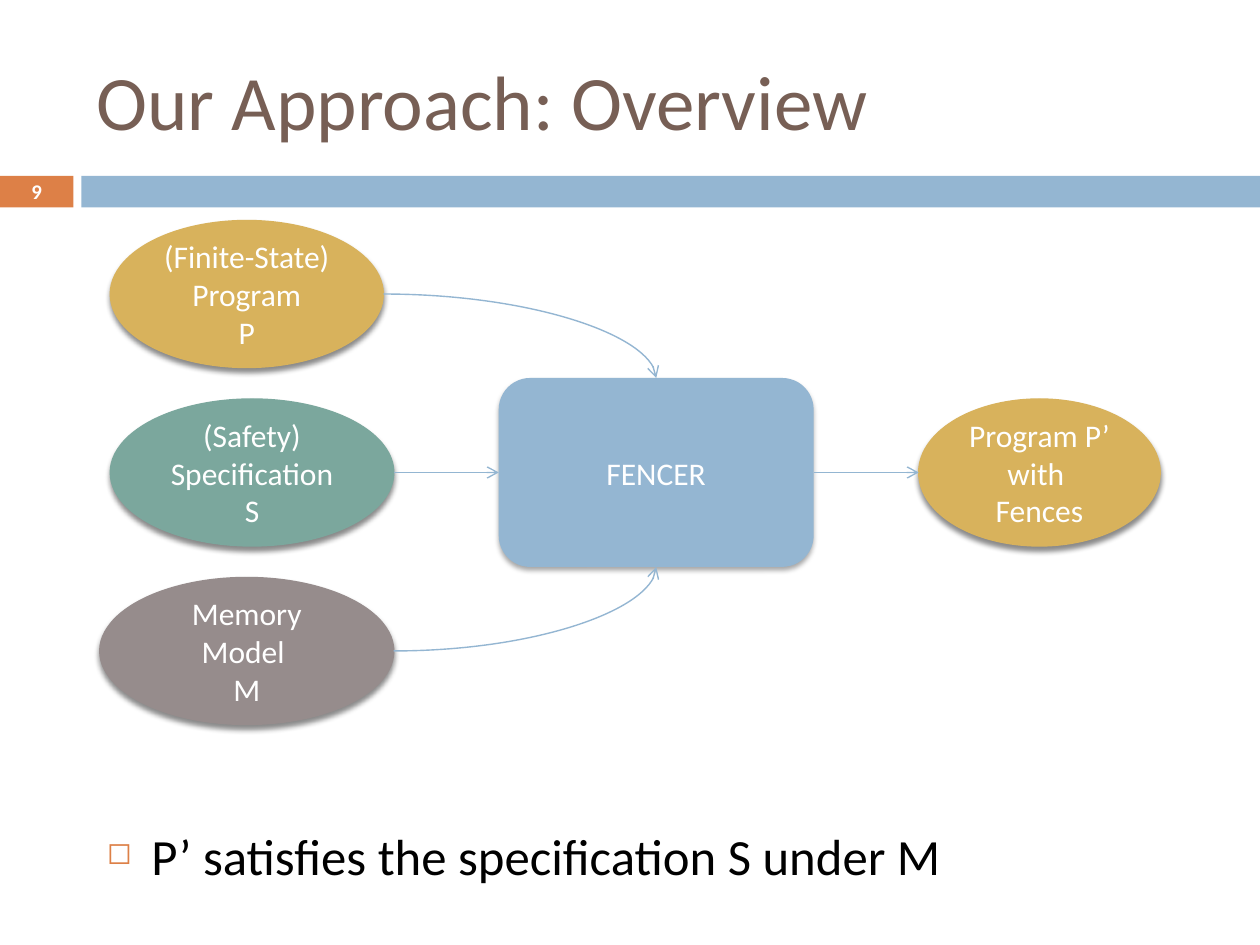
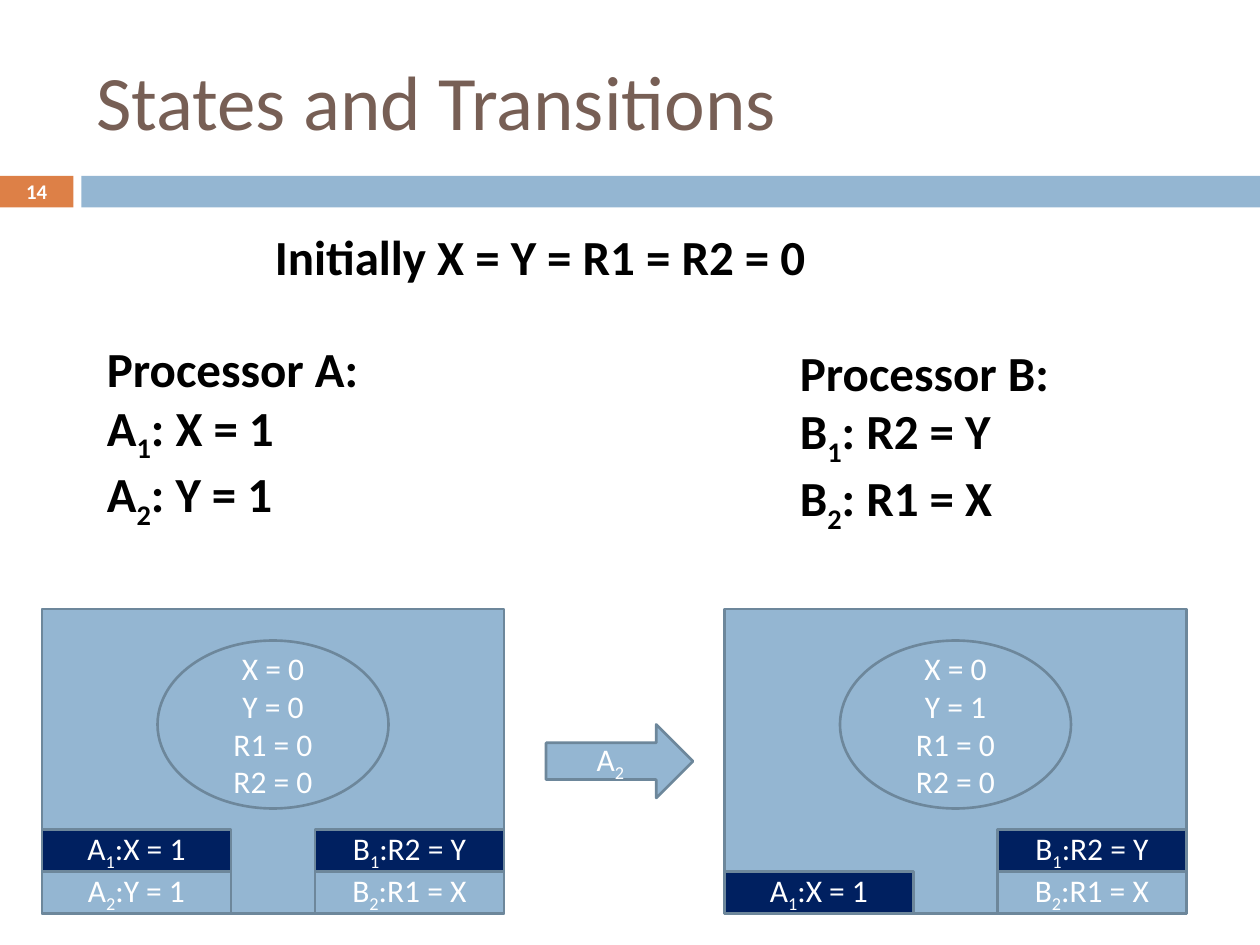
import pptx
import pptx.util
import pptx.dml.color
import pptx.enum.shapes
import pptx.enum.text
import pptx.oxml
import pptx.oxml.ns
from lxml import etree

PX = 9525  # EMU in one px, at 96 px to the inch
SLIDE_W, SLIDE_H = 960, 720
COLORS = {
    "orange": "DD8047", "blue": "94B6D2", "brown": "775F55", "gold": "D8B25C",
    "green": "7BA79D", "gray": "968C8C", "navy": "002060", "outline": "6D879B",
    "white": "FFFFFF", "black": "000000",
}
FORMATS = {
    "title": {"size": pptx.util.Pt(44)},
    "number": {"size": pptx.util.Pt(11.9), "bold": True},
    "bullet": {"size": pptx.util.Pt(29)},
    "code": {"size": pptx.util.Pt(28), "bold": True},
    "label": {"size": pptx.util.Pt(18)},
}
SHAPE = pptx.enum.shapes.MSO_SHAPE
ANCHOR = pptx.enum.text.MSO_ANCHOR
ALIGN = pptx.enum.text.PP_ALIGN


def rgb(color):
    return pptx.dml.color.RGBColor.from_string(COLORS[color])


def emu(*lengths):
    return [length * PX for length in lengths]


def add_run(paragraph, text, style, color, subscript=False):
    run = paragraph.add_run()
    run.text = text
    run.font.name = "Calibri"
    run.font.color.rgb = rgb(color)
    for attribute, value in FORMATS[style].items():
        setattr(run.font, attribute, value)
    if subscript:
        run._r.get_or_add_rPr().set("baseline", "-25000")


def write(frame, paragraphs, style, color, align=ALIGN.LEFT, anchor=ANCHOR.TOP):
    """Fill a frame; "_" lowers the next character, "\n" breaks the line."""
    frame.word_wrap = True
    frame.vertical_anchor = anchor
    for index, text in enumerate(paragraphs):
        paragraph = frame.paragraphs[0] if index == 0 else frame.add_paragraph()
        paragraph.alignment = align
        for line_index, line in enumerate(text.split("\n")):
            if line_index:
                paragraph.add_line_break()
            base, *lowered = line.split("_")
            add_run(paragraph, base, style, color)
            for part in lowered:
                add_run(paragraph, part[0], style, color, subscript=True)
                if part[1:]:
                    add_run(paragraph, part[1:], style, color)


def add_text(slide, box, paragraphs, style, color, **layout):
    frame = slide.shapes.add_textbox(*emu(*box)).text_frame
    write(frame, paragraphs, style, color, **layout)
    return frame


def add_block(slide, kind, box, fill, line=None, width=1.5, label=()):
    block = slide.shapes.add_shape(kind, *emu(*box))
    block.shadow.inherit = False
    block.fill.solid()
    block.fill.fore_color.rgb = rgb(fill)
    if line:
        block.line.color.rgb = rgb(line)
        block.line.width = pptx.util.Pt(width)
    else:
        block.line.fill.background()
    if label:
        write(block.text_frame, label, "label", "white", ALIGN.CENTER, ANCHOR.MIDDLE)
    return block


def add_shadow(block, opacity, distance):
    effects = block._element.spPr.find(pptx.oxml.ns.qn("a:effectLst"))
    effects.append(pptx.oxml.parse_xml(
        f'<a:outerShdw {pptx.oxml.ns.nsdecls("a")} blurRad="38100" dist="{distance}"'
        ' dir="5400000" rotWithShape="0"><a:srgbClr val="000000">'
        f'<a:alpha val="{opacity}000"/></a:srgbClr></a:outerShdw>'))


def add_arrow(slide, start, end):
    arrow = slide.shapes.add_connector(
        pptx.enum.shapes.MSO_CONNECTOR.CURVE, *emu(*start, *end))
    arrow.line.color.rgb = rgb("blue")
    arrow.line.width = pptx.util.Pt(0.79)
    qn = pptx.oxml.ns.qn
    properties = arrow._element.spPr
    if start[1] != end[1]:  # a quarter turn instead of an S
        properties.find(qn("a:prstGeom")).set("prst", "curvedConnector2")
    etree.SubElement(properties.find(qn("a:ln")), qn("a:tailEnd"), type="arrow")
    etree.SubElement(properties, qn("a:effectLst"))


def add_frame(prs, title, number):
    """Slide with the title, the number tab and the band that all slides share."""
    slide = prs.slides.add_slide(prs.slide_layouts[6])
    tab_w, band_left, band_top, band_h = 56, 62, 134, 24
    add_block(slide, SHAPE.RECTANGLE, (0, band_top, tab_w, band_h), "orange")
    add_block(slide, SHAPE.RECTANGLE,
              (band_left, band_top, SLIDE_W - band_left, band_h), "blue")
    add_text(slide, (64, 24, 856, 104), [title], "title", "brown", anchor=ANCHOR.MIDDLE)
    tab = add_text(slide, (0, band_top - 1, tab_w, band_h + 2), [number],
                   "number", "white", align=ALIGN.CENTER, anchor=ANCHOR.MIDDLE)
    for side in ("left", "right", "top", "bottom"):
        setattr(tab, f"margin_{side}", 0)
    return slide


def add_bullet(slide, box, text):
    frame = add_text(slide, box, [text], "bullet", "black")
    paragraph = frame.paragraphs[0]
    paragraph.space_before = pptx.util.Pt(7)
    properties = paragraph._p.get_or_add_pPr()
    indent = 34 * PX
    properties.set("marL", str(indent))
    properties.set("indent", str(-indent))
    qn = pptx.oxml.ns.qn
    bullet_color = etree.SubElement(properties, qn("a:buClr"))
    etree.SubElement(bullet_color, qn("a:srgbClr"), val=COLORS["orange"])
    etree.SubElement(properties, qn("a:buSzPct"), val="60000")
    etree.SubElement(properties, qn("a:buChar"), char="◻")


def add_flow(slide, box):
    """Three inputs feed the tool, which gives the fenced program."""
    left, top, width, height = box
    oval_h, pitch = 112, 136
    tool_left, tool_top, tool_w, tool_h = left + 304, top + 120, 240, 144
    tool_mid = tool_left + tool_w // 2
    tool = add_block(slide, SHAPE.ROUNDED_RECTANGLE,
                     (tool_left, tool_top, tool_w, tool_h), "blue", label=["FENCER"])
    add_shadow(tool, 35, 25400)

    def add_oval(oval_left, row, oval_w, fill, label):
        oval = add_block(slide, SHAPE.OVAL, (oval_left, top + row * pitch, oval_w, oval_h),
                         fill, fill, 0.79, label)
        add_shadow(oval, 45, 30480)
        return top + row * pitch + oval_h // 2

    # Inputs: offset, width, fill, label, and where the arrow meets the tool
    inputs = [
        (8, 208, "gold", ["(Finite-State)", "Program", "P"], (tool_mid, tool_top)),
        (8, 216, "green", ["(Safety) Specification S"],
         (tool_left, tool_top + tool_h // 2)),
        (0, 224, "gray", ["Memory\nModel ", "M"], (tool_mid, tool_top + tool_h)),
    ]
    for row, (offset, oval_w, fill, label, target) in enumerate(inputs):
        middle = add_oval(left + offset, row, oval_w, fill, label)
        add_arrow(slide, (left + offset + oval_w, middle), target)

    # Output
    output_w = 184
    output_left = left + width - output_w
    middle = add_oval(output_left, 1, output_w, "gold", ["Program P’\nwith \nFences"])
    add_arrow(slide, (tool_left + tool_w, middle), (output_left, middle))


def add_state(slide, box, memory, buffer_a, buffer_b):
    """Memory values above two store buffers, listed from the bottom up."""
    left, top, width, height = box
    cell_w, cell_h = 144, 32
    add_block(slide, SHAPE.RECTANGLE, box, "blue", "outline")
    for cell_left, buffer in ((left, buffer_a), (left + width - cell_w, buffer_b)):
        for level, store in enumerate(buffer, start=1):
            fill = "navy" if level == len(buffer) else "blue"
            add_block(slide, SHAPE.RECTANGLE,
                      (cell_left, top + height - level * cell_h, cell_w, cell_h),
                      fill, "outline", label=[store])
    memory_w = width // 2
    add_block(slide, SHAPE.OVAL, (left + memory_w // 2, top + 24, memory_w, 128),
              "blue", "outline", label=memory)


def build_overview(prs):
    slide = add_frame(prs, "Our Approach: Overview", "9")
    add_bullet(slide, (72, 624, 856, 96), "P’ satisfies the specification S under M")
    add_flow(slide, (76, 168, 808, 384))


def build_transitions(prs):
    slide = add_frame(prs, "States and Transitions", "14")
    programs = [
        ((200, 168, 496, 55), ["Initially X = Y = R1 = R2 = 0"]),
        ((72, 253, 320, 145), ["Processor A:", "A_1: X = 1", "A_2: Y = 1"]),
        ((600, 256, 320, 145), ["Processor B:", "B_1: R2 = Y", "B_2: R1 = X"]),
    ]
    for box, lines in programs:
        add_text(slide, box, lines, "code", "black")

    # State before and after the step
    states = [(32, 0, ["A_2:Y = 1", "A_1:X = 1"]), (552, 1, ["A_1:X = 1"])]
    for left, y_value, buffer_a in states:
        memory = ["X = 0", f"Y = {y_value}", "R1 = 0", "R2 = 0"]
        add_state(slide, (left, 464, 352, 232), memory, buffer_a,
                  ["B_2:R1 = X", "B_1:R2 = Y"])
    add_block(slide, SHAPE.RIGHT_ARROW, (416, 552, 112, 56), "blue", "outline",
              label=["A_2"])


def main():
    prs = pptx.Presentation()
    prs.slide_width, prs.slide_height = emu(SLIDE_W, SLIDE_H)
    build_overview(prs)
    build_transitions(prs)
    prs.save("out.pptx")


if __name__ == "__main__":
    main()
